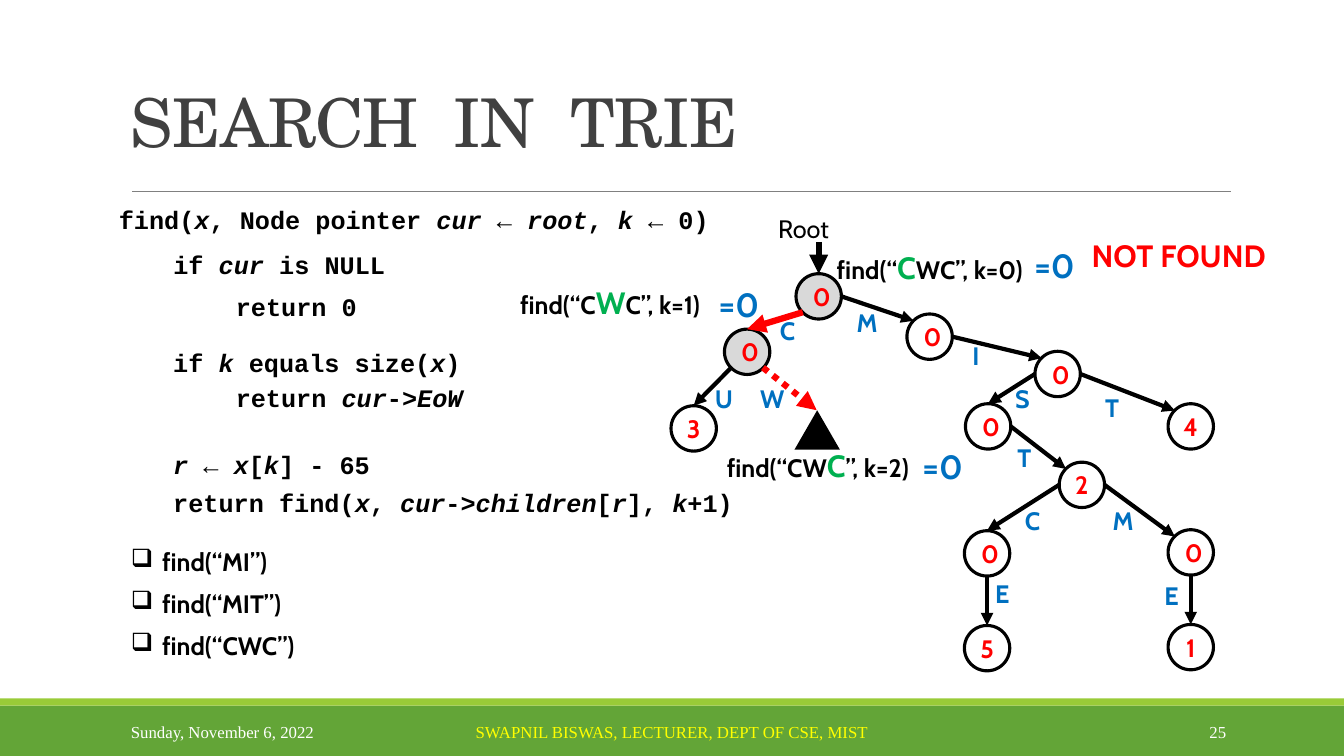
from lxml import etree
from pptx import Presentation
from pptx import util as u
from pptx.dml.color import RGBColor
from pptx.enum import dml, shapes, text
from pptx.oxml import ns

GREEN, LIME = RGBColor(0x63, 0xA5, 0x37), RGBColor(0x99, 0xCB, 0x38)
BLACK, WHITE, RED = RGBColor(0, 0, 0), RGBColor(255, 255, 255), RGBColor(255, 0, 0)
BLUE, MATCH = RGBColor(0, 0x70, 0xC0), RGBColor(0, 0xB0, 0x50)
VISITED, GREY = RGBColor(0xD9, 0xD9, 0xD9), RGBColor(0x80, 0x80, 0x80)
INK, YELLOW = RGBColor(0x40, 0x40, 0x40), RGBColor(255, 255, 0)
CODE, BODY, FOOT, HEAD = "Courier New", "Cabin", "Times New Roman", "TeX Gyre Schola"
LEFT, CENTER, RIGHT = text.PP_ALIGN.LEFT, text.PP_ALIGN.CENTER, text.PP_ALIGN.RIGHT
TOP, MIDDLE, BOTTOM = text.MSO_ANCHOR.TOP, text.MSO_ANCHOR.MIDDLE, text.MSO_ANCHOR.BOTTOM

DIAMETER = 0.45
SITES = {"top": (0, -0.5), "bottom": (0, 0.5), "left": (-0.5, 0), "right": (0.5, 0),
         "top left": (-0.35, -0.35), "bottom left": (-0.35, 0.35), "bottom right": (0.35, 0.35)}
# key: value, centre
NODES = {
    "": (0, (1.62, 0.94)), "C": (0, (0.91, 1.49)), "CU": (3, (0.38, 2.25)),
    "M": (0, (2.72, 1.34)), "MI": (0, (3.99, 1.71)), "MIT": (4, (5.31, 2.23)),
    "MIS": (0, (3.3, 2.23)), "MIST": (2, (4.23, 2.81)), "MISTC": (0, (3.29, 3.49)),
    "MISTCE": (5, (3.29, 4.43)), "MISTM": (0, (5.31, 3.48)), "MISTME": (1, (5.31, 4.42)),
}
# key: site on parent, site on child, label centre
EDGES = {
    "C": ("bottom left", "top", (1.31, 1.28)), "CU": ("bottom left", "top", (0.68, 1.95)),
    "M": ("right", "top left", (2.1, 1.2)), "MI": ("right", "top left", (3.18, 1.53)),
    "MIT": ("right", "top left", (4.53, 2.04)), "MIS": ("left", "top", (3.64, 1.95)),
    "MIST": ("right", "top left", (3.66, 2.54)), "MISTC": ("left", "top", (3.74, 3.16)),
    "MISTCE": ("bottom", "top", (3.44, 3.89)), "MISTM": ("right", "top left", (4.64, 3.16)),
    "MISTME": ("bottom", "top", (5.12, 3.91)),
}
CODE_LINES = [
    (0, 0, 6.08, "find(*x*, Node pointer *cur* ← *root*, *k *← **0)"),
    (0.54, 0.44, 2.31, "if *cur* is NULL"),
    (1.16, 0.86, 1.41, "return 0"),
    (0.54, 1.42, 3.07, "if *k* equals size(*x*)"),
    (1.16, 1.76, 2.46, "return *cur*->*EoW*"),
    (0.54, 2.43, 2.16, "*r *← *x*[*k*] - 65"),
    (0.54, 2.81, 5.93, "return find(*x*, *cur*->*children*[*r*], *k*+1)"),
]
CALLS = [
    ((1.7, 0.42, 2.11), (3.66, 0.38), ("find(“", "C", "WC”, k=0)")),
    ((-1.44, 0.77, 2.13), (0.53, 0.77), ("find(“C", "W", "C”, k=1)")),
    ((0.61, 2.38, 2.11), (2.55, 2.37), ("find(“CW", "C", "”, k=2)")),
]


def add_text(s, box, content, font, size, color, bold=False, align=LEFT, anchor=TOP, wrap=False):
    """Add a one-paragraph text box and return its paragraph."""
    tf = s.shapes.add_textbox(*map(u.Inches, box)).text_frame
    tf.word_wrap, tf.vertical_anchor = wrap, anchor
    p = tf.paragraphs[0]
    p.alignment = align
    set_font(p.font, font, size, color, bold)
    if content:
        p.add_run().text = content
    return p


def set_font(f, name, size, color, bold):
    """Set the face, size, colour and weight of a font."""
    f.name, f.size, f.bold, f.color.rgb = name, u.Pt(size), bold, color


def add_preset(s, kind, box, fill=None, line=None):
    """Add a preset shape with an optional fill and outline."""
    sp = s.shapes.add_shape(kind, *map(u.Inches, box))
    sp.shadow.inherit = False
    if fill is None:
        sp.fill.background()
    else:
        sp.fill.solid()
        sp.fill.fore_color.rgb = fill
    if line is None:
        sp.line.fill.background()
    else:
        sp.line.color.rgb, sp.line.width = line, u.Pt(2.25)
    return sp


def add_line(s, start, end, color, width, arrow=True, dash=None):
    """Add a straight line, with an arrowhead unless told otherwise."""
    c = s.shapes.add_connector(shapes.MSO_CONNECTOR.STRAIGHT, *map(u.Inches, (*start, *end)))
    c.line.color.rgb, c.line.width = color, u.Pt(width)
    if dash:
        c.line.dash_style = dash
    if arrow:
        etree.SubElement(c.line._get_or_add_ln(), ns.qn("a:tailEnd"), type="triangle")
    etree.SubElement(c._element.spPr, ns.qn("a:effectLst"))


def frame(s, width, height):
    """Draw the title, its rule and the footer bars."""
    rect = shapes.MSO_SHAPE.RECTANGLE
    add_preset(s, rect, (0, height - 0.5, width, 0.5), GREEN)
    add_preset(s, rect, (0, height - 0.57, width, 0.07), LIME)
    add_line(s, (1.31, 1.9), (12.21, 1.9), GREY, 0.5, arrow=False)
    p = add_text(s, (1.2, 0.06, 11, 1.59), "SEARCH  IN  TRIE", HEAD, 48, INK,
                 anchor=BOTTOM, wrap=True)
    p.line_spacing = 0.85
    p.runs[0]._r.get_or_add_rPr().set("spc", "-50")
    for x, w, content, color, align in (
            (1.2, 2.7, "Sunday, November 6, 2022", WHITE, LEFT),
            (4.03, 5.27, "SWAPNIL BISWAS, LECTURER, DEPT OF CSE, MIST", YELLOW, CENTER),
            (10.83, 1.43, "25", WHITE, RIGHT)):
        add_text(s, (x, height - 0.44, w, 0.4), content, FOOT, 12, color,
                 align=align, anchor=MIDDLE, wrap=True)


def pseudocode(s, x, y):
    """Write the algorithm, with starred parts in italics and plain arrows."""
    for dx, dy, w, line in CODE_LINES:
        p = add_text(s, (x + dx, y + dy, w, 0.4), "", CODE, 18, BLACK, True)
        for i, part in enumerate(line.split("*")):
            if part:
                r = p.add_run()
                r.text = part
                r.font.italic = i % 2 == 1
                r.font.bold = part.strip() != "←"


def examples(s, x, y):
    """List the example searches with box bullets."""
    first = add_text(s, (x, y, 1.84, 1.24), "", BODY, 18, BLACK, True)
    tf = s.shapes[-1].text_frame
    for i, word in enumerate(("MI", "MIT", "CWC")):
        p = tf.add_paragraph() if i else first
        p.add_run().text = f"find(“{word}”)"
        set_font(p.font, BODY, 18, BLACK, True)
        p.space_after = u.Pt(8.4)
        pPr = p._p.get_or_add_pPr()
        pPr.set("marL", str(u.Inches(0.31)))
        pPr.set("indent", str(-u.Inches(0.31)))
        bullet = etree.Element(ns.qn("a:buChar"), char="❑")
        pPr.find(ns.qn("a:defRPr")).addprevious(bullet)


def trie(s, x, y):
    """Draw the trie, the search path and the result of each call."""
    def site(key, name):
        """Return a point on the outline of a node."""
        cx, cy = NODES[key][1]
        dx, dy = SITES[name]
        return x + cx + dx * DIAMETER, y + cy + dy * DIAMETER

    def letter(centre, content):
        """Label an edge with its letter."""
        cx, cy = centre
        add_text(s, (x + cx - 0.22, y + cy - 0.2, 0.44, 0.4), content, BODY, 18, BLUE, True, CENTER)

    for key, (value, (cx, cy)) in NODES.items():
        r = DIAMETER / 2
        sp = add_preset(s, shapes.MSO_SHAPE.OVAL, (x + cx - r, y + cy - r, DIAMETER, DIAMETER),
                        VISITED if key in ("", "C") else None, BLACK)
        tf = sp.text_frame
        tf.word_wrap, tf.vertical_anchor = False, MIDDLE
        tf.margin_top = tf.margin_bottom = tf.margin_right = 0
        tf.margin_left = u.Inches(0.06 if value == 0 else 0)
        p = tf.paragraphs[0]
        p.alignment = CENTER
        p.add_run().text = str(value)
        set_font(p.font, BODY, 18, RED, True)

    for key, (start, end, centre) in EDGES.items():
        color, width = (RED, 4.5) if key == "C" else (BLACK, 3)
        add_line(s, site(key[:-1], start), site(key, end), color, width)
        letter(centre, key[-1])

    add_text(s, (x + 1.12, y + 0.07, 0.73, 0.4), "Root", BODY, 18, BLACK)
    add_line(s, (x + 1.62, y + 0.4), site("", "top"), BLACK, 4.5)
    add_preset(s, shapes.MSO_SHAPE.ISOSCELES_TRIANGLE, (x + 1.38, y + 2.07, 0.45, 0.39), BLACK)
    add_line(s, site("C", "bottom right"), (x + 1.6, y + 2.07), RED, 4.5,
             dash=dml.MSO_LINE.ROUND_DOT)
    letter((1.16, 1.95), "W")

    for (dx, dy, w), (rx, ry), parts in CALLS:
        p = add_text(s, (x + dx, y + dy, w, 0.47), "", BODY, 18, BLACK, True)
        for part in parts:
            r = p.add_run()
            r.text = part
            if part == parts[1]:
                r.font.size, r.font.color.rgb = u.Pt(22), MATCH
        add_text(s, (x + rx, y + ry, 0.61, 0.5), "=0", BODY, 24, BLUE, True)
    add_text(s, (x + 4.23, y + 0.3, 1.94, 0.47), "NOT FOUND", BODY, 22, RED, True)


def main():
    """Build the slide and save it."""
    prs = Presentation()
    prs.slide_width, prs.slide_height = u.Inches(13.33), u.Inches(7.5)
    s = prs.slides.add_slide(prs.slide_layouts[6])
    frame(s, 13.33, 7.5)
    pseudocode(s, 1.08, 1.98)
    examples(s, 1.2, 5.37)
    trie(s, 6.5, 2)
    prs.save("out.pptx")


if __name__ == "__main__":
    main()
